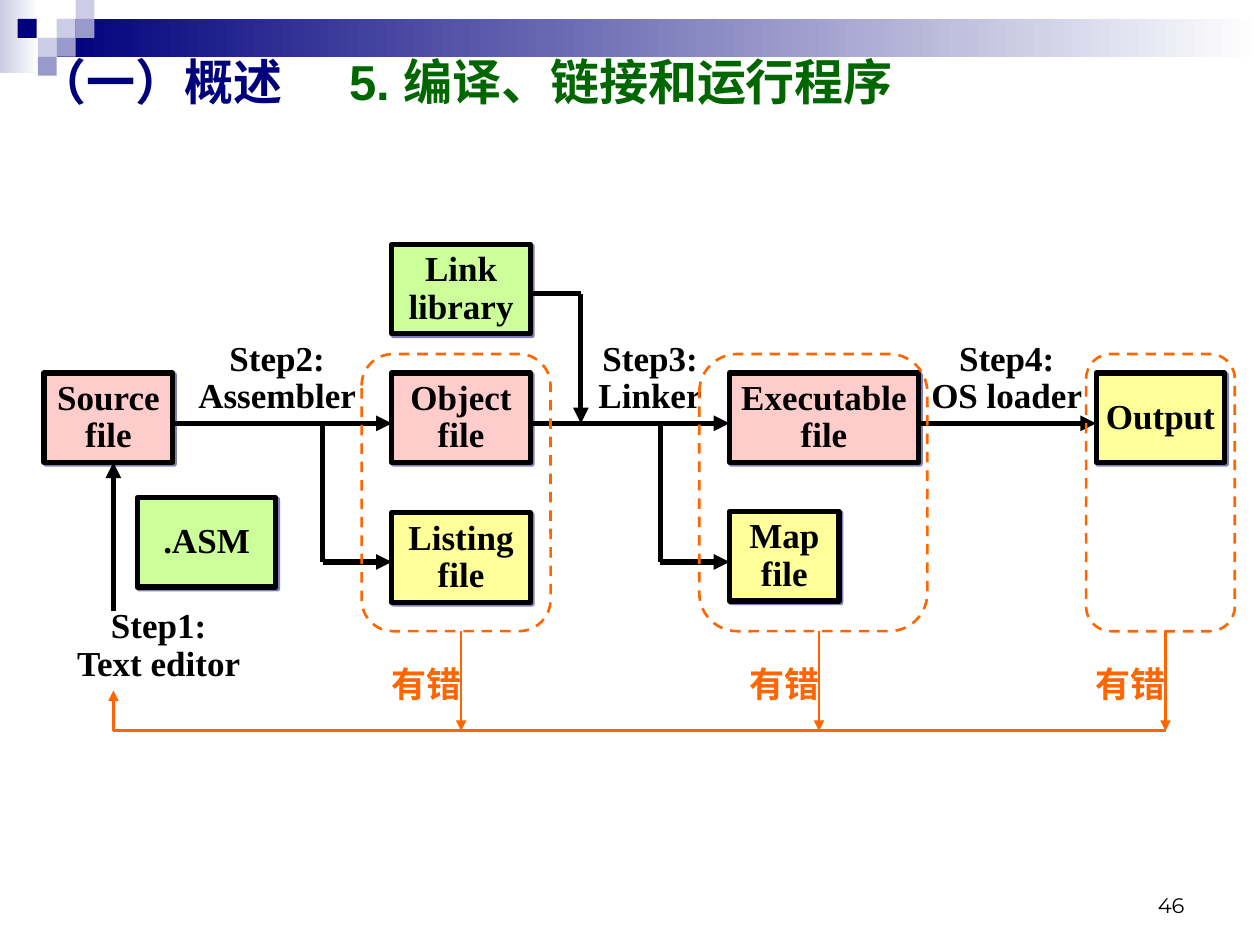
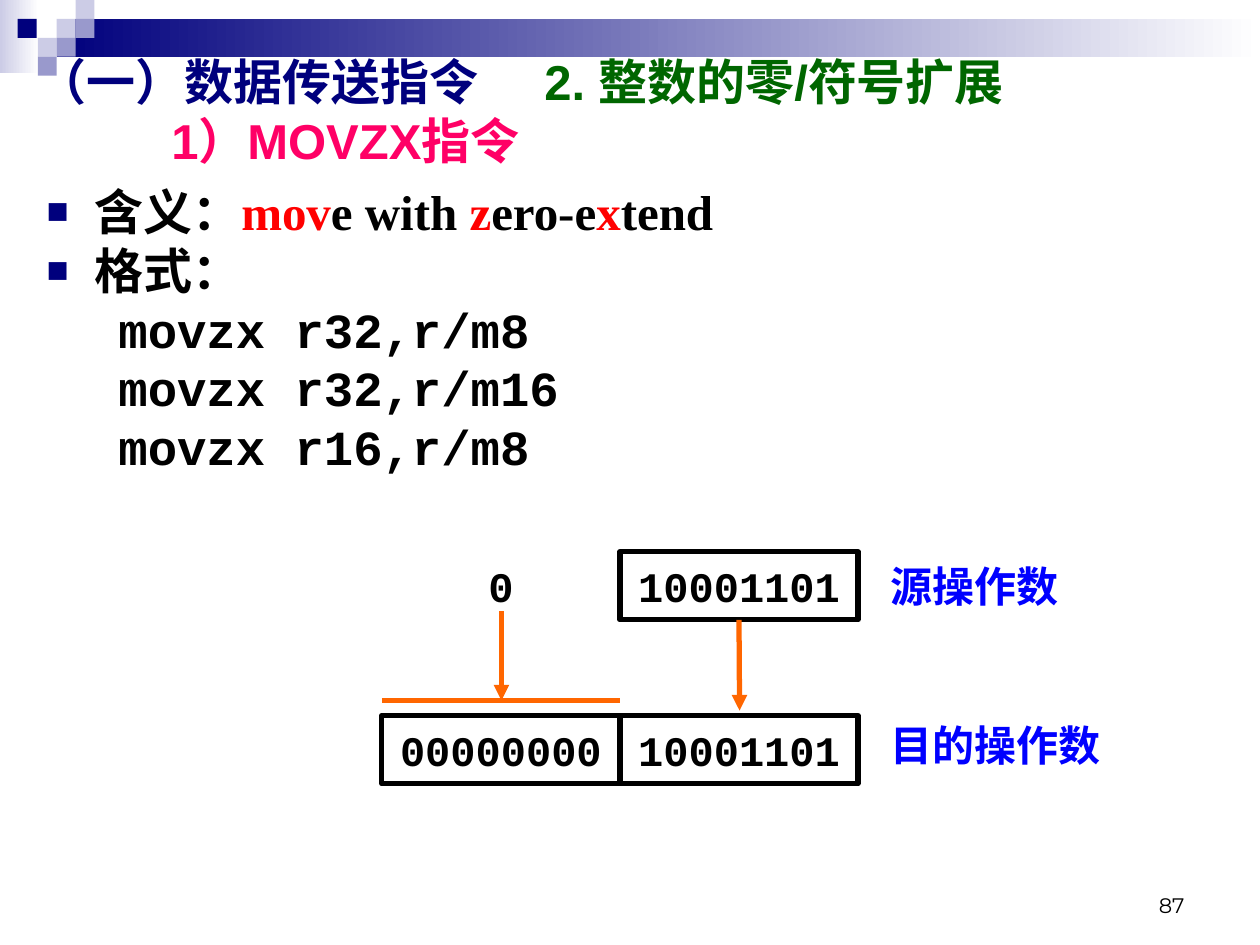
from lxml import etree
from pptx import Presentation
from pptx.dml.color import RGBColor
from pptx.enum.dml import MSO_LINE
from pptx.enum.shapes import MSO_CONNECTOR, MSO_SHAPE
from pptx.enum.text import MSO_ANCHOR, MSO_AUTO_SIZE, PP_ALIGN
from pptx.oxml import parse_xml
from pptx.oxml.ns import nsdecls, qn
from pptx.util import Inches, Pt

RECT, ROUND = MSO_SHAPE.RECTANGLE, MSO_SHAPE.ROUNDED_RECTANGLE
STRAIGHT, DASH = MSO_CONNECTOR.STRAIGHT, MSO_LINE.DASH
LEFT, MID, RIGHT = PP_ALIGN.LEFT, PP_ALIGN.CENTER, PP_ALIGN.RIGHT
TOP, CENTER, BOTTOM = MSO_ANCHOR.TOP, MSO_ANCHOR.MIDDLE, MSO_ANCHOR.BOTTOM
FIXED = MSO_AUTO_SIZE.NONE
rgb = RGBColor.from_string


class Theme:
    navy, pale, mauve, white, black = "00007D", "CCCCE6", "9999CC", "FFFFFF", "000000"
    green, rose, red, blue, orange = "006600", "FF0066", "FF0000", "0000FF", "FF6600"
    pink, lime, lemon = "FFCCCC", "CCFF99", "FFFF99"
    head, serif, mono, page = "Arial", "Times New Roman", "Courier New", "Montserrat"
    large, mid, small, tiny = 28, 24, 20, 12
    thick, thin = 3, 1.5


def write(shape, paras, size=Theme.small, font=Theme.serif, color=Theme.black,
          bold=True, align=MID, anchor=CENTER, wrap=True, space=1.0, tab=None):
    frame = shape.text_frame
    frame.word_wrap, frame.auto_size, frame.vertical_anchor = wrap, FIXED, anchor
    for n, para in enumerate(paras):
        item = frame.add_paragraph() if n else frame.paragraphs[0]
        item.alignment, item.line_spacing, item.space_before = align, space, Pt(0)
        if tab:
            stops = etree.SubElement(item._p.get_or_add_pPr(), qn("a:tabLst"))
            etree.SubElement(stops, qn("a:tab"), pos=str(Inches(tab)), algn="l")
        for text, tint in [(para, color)] if isinstance(para, str) else para:
            run = item.add_run()
            run.text = text
            run.font.name, run.font.size, run.font.bold = font, Pt(size), bold
            run.font.color.rgb = rgb(tint)


def wire(slide, x1, y1, x2, y2, color=Theme.black, width=Theme.thick, arrow=True):
    line = slide.shapes.add_connector(STRAIGHT, *map(Inches, (x1, y1, x2, y2)))
    line.line.color.rgb, line.line.width = rgb(color), Pt(width)
    if arrow:
        etree.SubElement(line.line._get_or_add_ln(), qn("a:tailEnd"), type="triangle")
    etree.SubElement(line._element.spPr, qn("a:effectLst"))
    return line


deck = Presentation()
deck.slide_width, deck.slide_height = Inches(10), Inches(7.5)
flow = deck.slides.add_slide(deck.slide_layouts[5])
move = deck.slides.add_slide(deck.slide_layouts[1])

unit = 0.15
marks = [(0, 0, 0.31, 0.58, Theme.pale, True), (0.45, unit, 9.55, 0.3, Theme.navy, True)]
marks += [(x, row * unit, unit, unit, tint, False) for x, row, tint in [
    (0.45, 1, Theme.pale), (0.6, 0, Theme.pale), (0.6, 1, Theme.mauve),
    (0.3, 2, Theme.pale), (0.14, 1, Theme.navy), (0.45, 2, Theme.mauve),
    (0.3, 3, Theme.mauve)]]
for n, (x, y, w, h, tint, fade) in enumerate(marks):
    mark = flow.shapes.add_shape(RECT, *map(Inches, (x, y, w, h)))
    mark.shadow.inherit = False
    mark.line.fill.background()
    if fade:
        mark.fill.gradient()
        mark.fill.gradient_angle = 0
        for stop, shade in zip(mark.fill.gradient_stops, (tint, Theme.white)):
            stop.color.rgb = rgb(shade)
    else:
        mark.fill.solid()
        mark.fill.fore_color.rgb = rgb(tint)
    mark.element.xpath(".//p:cNvPr")[0].set("id", str(100 + n))
    deck.slide_master.shapes.element.append(mark.element)

heads = [
    (flow, "46", (0.2, 0.36, 9.16, 0.57), CENTER, 2.47,
     [[("（一）概述\t", Theme.navy), ("5. 编译、链接和运行程序", Theme.green)]]),
    (move, "87", (0.2, 0.36, 9.61, 1.02), TOP, 4.02,
     [[("（一）数据传送指令\t", Theme.navy), ("2. 整数的零/符号扩展", Theme.green)],
      [("1）MOVZX指令", Theme.rose)]]),
]
for slide, page, at, anchor, tab, paras in heads:
    title = slide.shapes.title
    title.left, title.top, title.width, title.height = map(Inches, at)
    write(title, paras, Theme.large, Theme.head, align=LEFT, anchor=anchor, tab=tab)
    foot = slide.shapes.add_textbox(*map(Inches, (7.17, 6.83, 2.33, 0.5)))
    write(foot, [page], Theme.tiny, Theme.page, bold=False, align=RIGHT, anchor=BOTTOM)
move.shapes.title.text_frame.paragraphs[1]._p.get_or_add_pPr().set("marL", str(Inches(1.06)))

tall = 0.71
shade = (f'<a:effectLst {nsdecls("a")}><a:outerShdw dist="17780" dir="2700000">'
         f'<a:srgbClr val="{Theme.navy}"><a:alpha val="50000"/></a:srgbClr>'
         '</a:outerShdw></a:effectLst>')
files = [
    (0.35, 2.96, 1.02, Theme.pink, ["Source", "file"]),
    (3.11, 1.94, 1.1, Theme.lime, ["Link", "library"]),
    (3.11, 2.96, 1.1, Theme.pink, ["Object", "file"]),
    (3.11, 4.07, 1.1, Theme.lemon, ["Listing", "file"]),
    (5.79, 2.96, 1.5, Theme.pink, ["Executable", "file"]),
    (5.79, 4.06, 0.87, Theme.lemon, ["Map", "file"]),
    (8.7, 2.96, 1.02, Theme.lemon, ["Output"]),
    (1.09, 3.95, 1.1, Theme.lime, [".ASM"]),
]
for x, y, w, tint, words in files:
    box = flow.shapes.add_shape(RECT, *map(Inches, (x, y, w, tall)))
    box.fill.solid()
    box.fill.fore_color.rgb = rgb(tint)
    box.line.color.rgb, box.line.width = rgb(Theme.black), Pt(Theme.thick)
    box._element.spPr.append(parse_xml(shade))
    write(box, words, wrap=False, space=0.9)

steps = [
    (0.51, 4.77, 1.5, "Text editor"), (1.45, 2.65, 1.5, "Assembler"),
    (4.61, 2.65, 1.1, "Linker"), (7.28, 2.65, 1.42, "OS loader"),
]
for n, (x, y, w, tool) in enumerate(steps, 1):
    label = flow.shapes.add_textbox(*map(Inches, (x, y, w, tall)))
    write(label, [f"Step{n}:", tool], wrap=False, space=0.9)

main, low = 3.36, 4.46
for x1, x2 in [(1.38, 3.11), (4.21, 5.79), (7.28, 8.7)]:
    wire(flow, x1, main, x2, main)
for x1, x2 in [(2.56, 3.11), (5.24, 5.79)]:
    wire(flow, x1, main, x1, low, arrow=False)
    wire(flow, x1, low, x2, low)
wire(flow, 4.21, 2.33, 4.61, 2.33, arrow=False)
wire(flow, 4.61, 2.33, 4.61, main)
wire(flow, 0.9, 4.85, 0.9, 3.67)

base = 5.8
error = {"color": Theme.orange, "width": Theme.thin}
for x, w, drop, left in [(2.87, 1.5, 3.66, 2.95), (5.55, 1.81, 6.5, 5.79), (8.62, 1.18, 9.25, 8.54)]:
    ring = flow.shapes.add_shape(ROUND, *map(Inches, (x, 2.81, w, 2.2)))
    ring.shadow.inherit = False
    ring.fill.background()
    ring.line.color.rgb, ring.line.width = rgb(Theme.orange), Pt(Theme.thin)
    ring.line.dash_style = DASH
    wire(flow, drop, 5.01, drop, base, **error)
    label = flow.shapes.add_textbox(*map(Inches, (left, 5.25, 0.87, 0.39)))
    write(label, ["有错"], color=Theme.orange, wrap=False, space=0.9)
wire(flow, 9.25, base, 0.9, base, arrow=False, **error)
wire(flow, 0.9, base, 0.9, 5.48, **error)

body = move.placeholders[1]
body.left, body.top, body.width, body.height = map(Inches, (0.27, 1.39, 9.53, 5.99))
sense = [("含义：", Theme.black), ("mov", Theme.red), ("e with ", Theme.black),
         ("z", Theme.red), ("ero-e", Theme.black), ("x", Theme.red), ("tend", Theme.black)]
forms = ["movzx r32,r/m8", "movzx r32,r/m16", "movzx r16,r/m8"]
write(body, [sense, "格式：", *forms], Theme.large, align=LEFT, anchor=TOP)
for n, item in enumerate(body.text_frame.paragraphs):
    code = n > 1
    props = item._p.get_or_add_pPr()
    margin, hang = (0.89, -0.32) if code else (0.38, -0.38)
    props.set("marL", str(Inches(margin)))
    props.set("indent", str(Inches(hang)))
    if code:
        item.level = 1
        etree.SubElement(props, qn("a:buNone"))
        for run in item.runs:
            run.font.name = Theme.mono
    else:
        tint = etree.SubElement(props, qn("a:buClr"))
        etree.SubElement(tint, qn("a:srgbClr"), val=Theme.navy)
        etree.SubElement(props, qn("a:buSzPct"), val="75000")
        etree.SubElement(props, qn("a:buFont"), typeface=Theme.head)
        etree.SubElement(props, qn("a:buChar"), char="■")

wide, high = 1.89, 0.54
for x, y, bits in [(3.03, 5.68, "00000000"), (4.92, 5.68, "10001101"), (4.92, 4.38, "10001101")]:
    cell = move.shapes.add_shape(RECT, *map(Inches, (x, y, wide, high)))
    cell.shadow.inherit = False
    cell.fill.background()
    cell.line.color.rgb, cell.line.width = rgb(Theme.black), Pt(Theme.thick)
    write(cell, [bits], Theme.mid, Theme.mono)
for x, y, text, tint, align in [
        (3.03, 4.38, "0", Theme.black, MID),
        (6.97, 4.38, "源操作数", Theme.blue, LEFT),
        (6.97, 5.64, "目的操作数", Theme.blue, LEFT)]:
    label = move.shapes.add_textbox(*map(Inches, (x, y, wide, high)))
    write(label, [text], Theme.mid, Theme.mono, tint, align=align)
wire(move, 3.03, 5.56, 4.92, 5.56, Theme.orange, arrow=False)
wire(move, 3.98, 4.85, 3.98, 5.56, Theme.orange)
copy = wire(move, 5.87, 4.92, 5.87, 5.64, Theme.orange)
copy.begin_connect(cell, 2)

deck.save("out.pptx")
